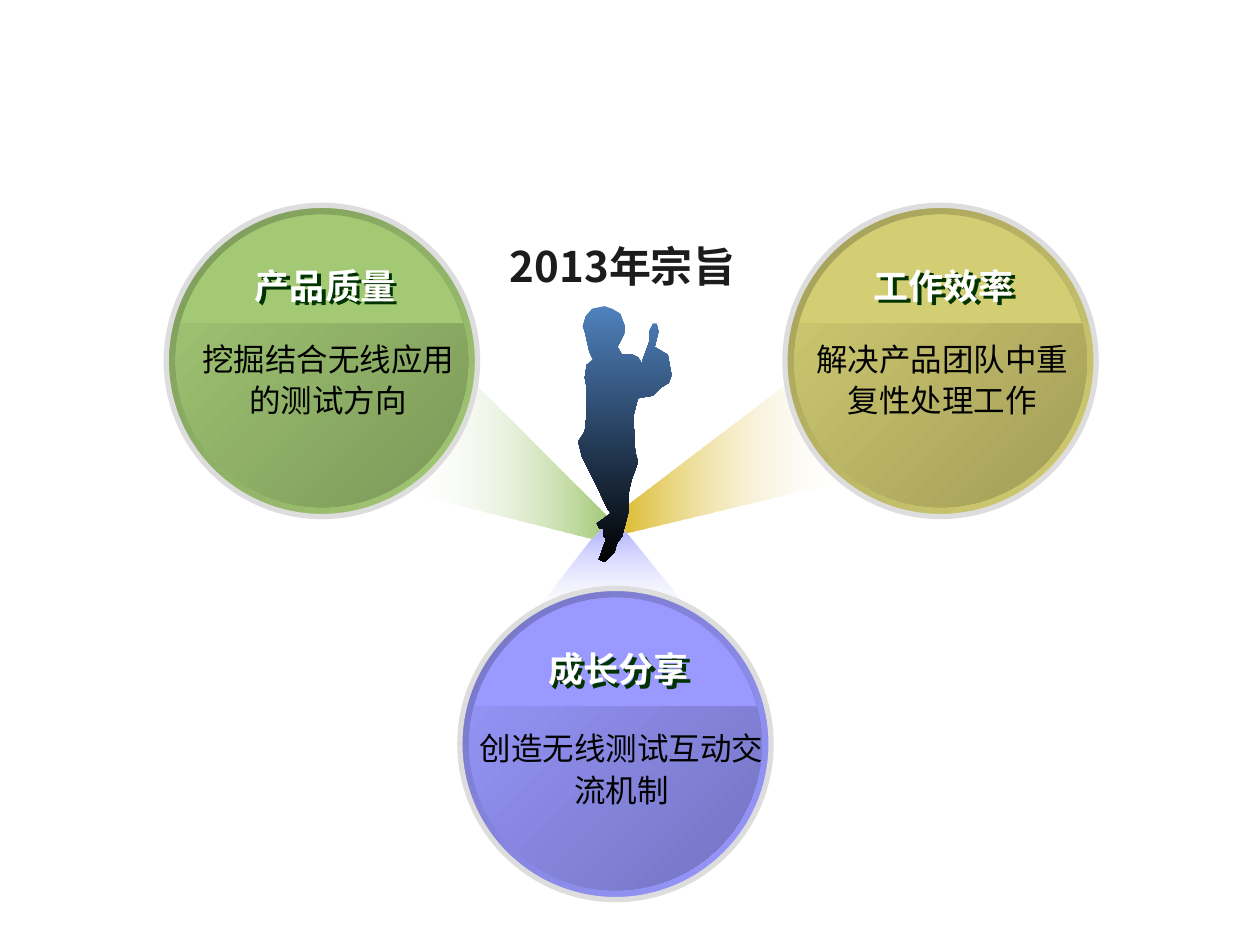
from dataclasses import dataclass
from itertools import chain
from math import cos, radians, sin

from lxml.etree import SubElement
from pptx import Presentation
from pptx.dml.color import RGBColor
from pptx.enum.shapes import MSO_SHAPE
from pptx.enum.text import MSO_ANCHOR, MSO_AUTO_SIZE, PP_ALIGN
from pptx.oxml.ns import qn
from pptx.util import Inches, Pt


@dataclass(frozen=True)
class Theme:
    font: str = "Noto Sans CJK SC"
    title_size: int = 24
    heading_size: int = 20
    body_size: int = 18
    title: str = "1C1C1C"
    heading: str = "FFFFFF"
    heading_shadow: str = "003300"
    body: str = "000000"
    rim: str = "DDDDDD"
    clear: str = "FFFFFF"
    green: tuple = ("A3C975", "7C9959")
    yellow: tuple = ("D3CE73", "A19D57")
    purple: tuple = ("9999FF", "7474C2")
    gold: str = "DAB720"
    figure: tuple = ("4F81BD", "000000")


T = Theme()

BALL = 2.47  # diameter in inches

# Boxes inside a ball, as shares of its size: left, top, width, height.
DISC = (0.03, 0.03, 0.94, 0.94)
HEADING = (0.1, 0.17, 0.82, 0.18)
CAP_EDGE = 15  # degrees above the disc's middle where the cap ends

# The standing figure, part by part, as shares of its box.
FIGURE = {
    "back": [(0.16, 0.21), (0.09, 0.23), (0.07, 0.28), (0.09, 0.32),
             (0.09, 0.42), (0.07, 0.49), (0, 0.53)],
    "rear leg": [(0.04, 0.59), (0.18, 0.69), (0.31, 0.79), (0.35, 0.81)],
    "feet": [(0.2, 0.85), (0.23, 0.87), (0.27, 0.87), (0.27, 0.9),
             (0.3, 0.91), (0.22, 0.99), (0.28, 1), (0.39, 0.96),
             (0.41, 0.93), (0.47, 0.9)],
    "front leg": [(0.54, 0.8), (0.54, 0.73), (0.57, 0.68), (0.64, 0.61)],
    "belly": [(0.61, 0.57), (0.59, 0.43), (0.64, 0.36)],
    "arm": [(0.8, 0.35), (0.88, 0.32), (0.97, 0.3), (1, 0.27),
            (0.96, 0.19), (0.82, 0.16)],
    "thumb": [(0.86, 0.1), (0.84, 0.07), (0.8, 0.07), (0.76, 0.1),
              (0.76, 0.14), (0.69, 0.21)],
    "shoulder": [(0.69, 0.23), (0.64, 0.2), (0.58, 0.19), (0.47, 0.19),
                 (0.42, 0.16)],
    "head": [(0.49, 0.11), (0.5, 0.08), (0.45, 0.03), (0.36, 0.01),
             (0.28, 0), (0.15, 0.01), (0.08, 0.04), (0.05, 0.08),
             (0.07, 0.1), (0.12, 0.18)],
}


def within(box, left, top, width, height):
    """Turn shares of a box into a box in inches."""
    x, y, w, h = box
    return x + left * w, y + top * h, width * w, height * h


def fill_gradient(sp, colors, angle, clear_stop=None):
    """Fill clockwise from angle; clear_stop is the stop that fades out."""
    sp.fill.gradient()
    sp.fill.gradient_angle = -angle % 360
    for stop, color in zip(sp.fill.gradient_stops, colors):
        stop.color.rgb = RGBColor.from_string(color)
    if clear_stop is not None:
        stops = list(sp._element.spPr.iter(qn("a:srgbClr")))
        SubElement(stops[clear_stop], qn("a:alpha"), val="0")


def add_outline(s, box, points):
    """Draw a closed polygon whose points are shares of the box."""
    x, y, w, h = box
    start, *rest = [(Inches(x + px * w), Inches(y + py * h))
                    for px, py in points]
    builder = s.shapes.build_freeform(*start, scale=1.0)
    builder.add_line_segments(rest, close=True)
    sp = builder.convert_to_shape()
    sp.shadow.inherit = False
    sp.line.fill.background()
    return sp


def add_disc(s, box, colors):
    sp = s.shapes.add_shape(MSO_SHAPE.OVAL, *map(Inches, box))
    sp.shadow.inherit = False
    sp.line.fill.background()
    fill_gradient(sp, colors, 45)
    return sp


def add_cap(s, disc, color):
    """Cover the top of a disc, down to a level chord, in a flat colour."""
    angles = map(radians, range(180 + CAP_EDGE, 361 - CAP_EDGE, 5))
    arc = [(0.5 + cos(a) / 2, 0.5 + sin(a) / 2) for a in angles]
    sp = add_outline(s, disc, arc)
    sp.fill.solid()
    sp.fill.fore_color.rgb = RGBColor.from_string(color)


def write(sp, text, size, color, bold=False, spacing=None):
    tf = sp.text_frame
    tf.text = text
    tf.word_wrap = True
    tf.auto_size = MSO_AUTO_SIZE.SHAPE_TO_FIT_TEXT
    tf.vertical_anchor = MSO_ANCHOR.TOP
    p = tf.paragraphs[0]
    p.alignment = PP_ALIGN.CENTER
    p.line_spacing = spacing
    r = p.runs[0]
    r.font.size = Pt(size)
    r.font.bold = bold
    r.font.name = T.font
    r.font.color.rgb = RGBColor.from_string(color)
    SubElement(r._r.get_or_add_rPr(), qn("a:ea"), typeface=T.font)


def add_hard_shadow(sp, color):
    effects = SubElement(sp._element.spPr, qn("a:effectLst"))
    shadow = SubElement(effects, qn("a:outerShdw"), dist="35921",
                        dir="2700000", algn="ctr", rotWithShape="0")
    SubElement(shadow, qn("a:srgbClr"), val=color)


def add_goal(s, ball, colors, heading, body, body_box):
    """Place a rimmed ball with a cap, a heading and body text."""
    rim = add_disc(s, ball, colors[::-1])
    rim.line.color.rgb = RGBColor.from_string(T.rim)
    rim.line.width = Pt(3)
    disc = within(ball, *DISC)
    add_disc(s, disc, colors)
    add_cap(s, disc, colors[0])

    sp = s.shapes.add_textbox(*map(Inches, within(ball, *body_box)))
    write(sp, body, T.body_size, T.body, spacing=1.1)
    sp = s.shapes.add_textbox(*map(Inches, within(ball, *HEADING)))
    write(sp, heading, T.heading_size, T.heading, bold=True)
    add_hard_shadow(sp, T.heading_shadow)


def add_beams(s):
    """Spread light from the figure's feet towards each ball."""
    beams = [
        ((4.16, 4.08, 1.39, 0.88), (T.purple[0], T.clear), 90,
         [(0.49, 0), (0.56, 0.12), (1, 0.98), (0.49, 0.7), (0, 1)]),
        ((4.86, 3.01, 1.9, 1.22), (T.gold, T.clear), 0,
         [(0.06, 1), (0, 0.89), (0.75, 0), (1, 0.65)]),
        ((3.23, 3.05, 1.61, 1.22), (T.clear, T.green[0]), 0,
         [(1, 0.87), (0.91, 1), (0, 0.7), (0.34, 0)]),
    ]
    for box, colors, angle, points in beams:
        beam = add_outline(s, box, points)
        fill_gradient(beam, colors, angle, colors.index(T.clear))


def add_centre(s, title_box, figure_box):
    title = s.shapes.title
    title.left, title.top, title.width, title.height = map(Inches, title_box)
    write(title, "2013年宗旨", T.title_size, T.title, bold=True)
    figure = add_outline(s, figure_box, chain(*FIGURE.values()))
    fill_gradient(figure, T.figure, 90)


def main():
    prs = Presentation()
    prs.slide_width, prs.slide_height = Inches(10), Inches(7.5)
    s = prs.slides.add_slide(prs.slide_layouts[5])
    add_beams(s)
    goals = [
        (1.32, 1.63, T.green, "产品质量", "挖掘结合无线应用的测试方向",
         (0.06, 0.4, 0.92, 0.31)),
        (6.23, 1.63, T.yellow, "工作效率", "解决产品团队中重复性处理工作",
         (0.01, 0.4, 0.99, 0.31)),
        (3.65, 4.67, T.purple, "成长分享", "创造无线测试互动交流机制",
         (0.01, 0.42, 1.02, 0.31)),
    ]
    for x, y, *content in goals:
        add_goal(s, (x, y, BALL, BALL), *content)
    add_centre(s, (3.74, 1.86, 2.4, 0.5), (4.59, 2.43, 0.74, 2.03))
    prs.save("out.pptx")


if __name__ == "__main__":
    main()
